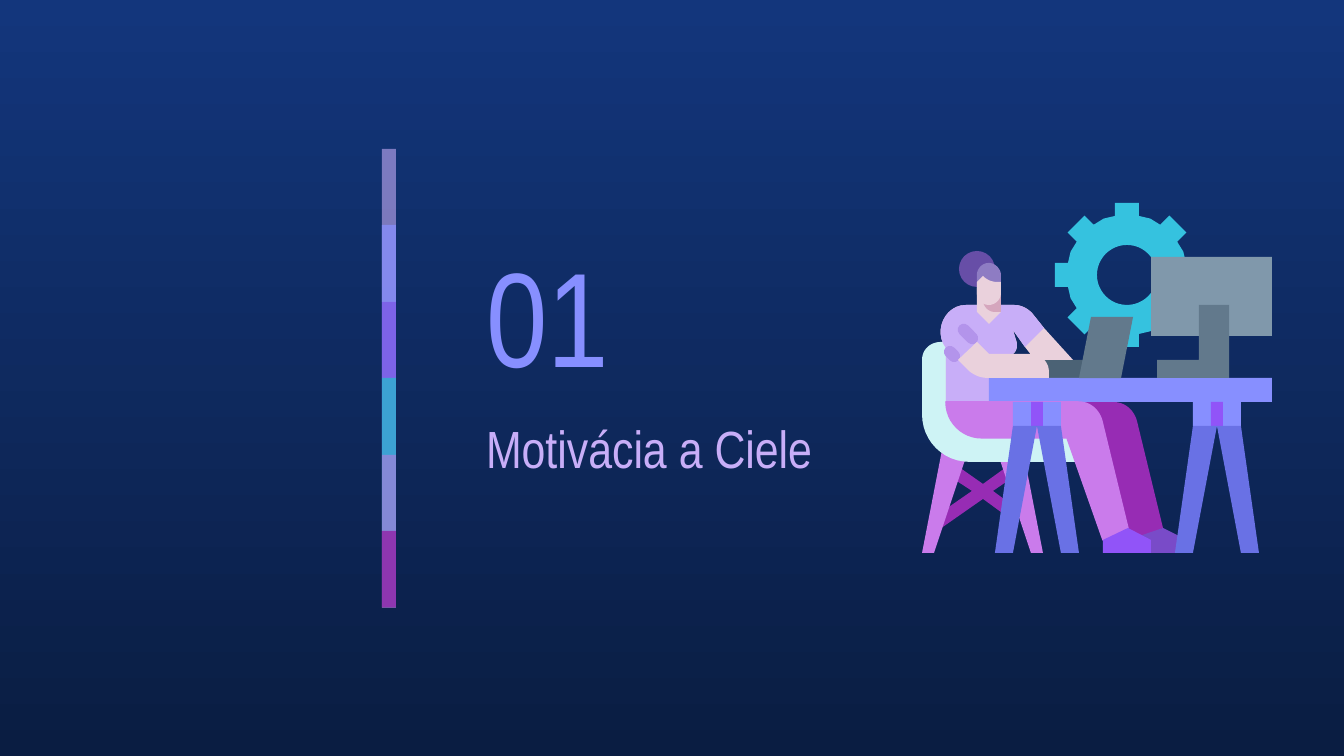
from math import cos, pi, sin

from lxml.etree import SubElement
from pptx import Presentation
from pptx.dml.color import RGBColor
from pptx.enum.shapes import MSO_SHAPE as Shape
from pptx.enum.text import MSO_ANCHOR as Anchor, MSO_AUTO_SIZE as AutoSize, PP_ALIGN as Align
from pptx.oxml.ns import qn
from pptx.util import Pt

PX = 9144000 / 1344

NIGHT_TOP = RGBColor(0x13, 0x36, 0x7C)
NIGHT_BOTTOM = RGBColor(0x0A, 0x1D, 0x42)
BLUE = RGBColor(0x87, 0x8F, 0xFF)
DEEP_BLUE = RGBColor(0x69, 0x71, 0xE5)
LILAC = RGBColor(0xC8, 0xAE, 0xF8)
DARK_LILAC = RGBColor(0xB3, 0x94, 0xEB)
VIOLET = RGBColor(0x91, 0x54, 0xF8)
DARK_VIOLET = RGBColor(0x79, 0x4B, 0xC8)
CYAN = RGBColor(0x35, 0xC2, 0xDF)
ICE = RGBColor(0xCE, 0xF3, 0xF5)
PINK = RGBColor(0xCA, 0x7B, 0xEB)
PURPLE = RGBColor(0x97, 0x2C, 0xB4)
SKIN = RGBColor(0xEA, 0xD1, 0xDC)
SKIN_SHADE = RGBColor(0xD5, 0xA6, 0xBD)
HAIR = RGBColor(0x67, 0x4E, 0xA7)
HAIR_LIGHT = RGBColor(0x8E, 0x7C, 0xC3)
SLATE = RGBColor(0x62, 0x79, 0x8C)
DARK_SLATE = RGBColor(0x4B, 0x62, 0x75)
LIGHT_SLATE = RGBColor(0x80, 0x98, 0xAB)


def emu(px):
    return round(px * PX)


def paint(shape, color):
    shape.shadow.inherit = False
    shape.fill.solid()
    shape.fill.fore_color.rgb = color
    shape.line.fill.background()
    return shape


def add_preset(group, kind, color, left, top, width, height):
    box = [emu(v) for v in (left, top, width, height)]
    return paint(group.shapes.add_shape(kind, *box), color)


def add_block(group, color, *box):
    return add_preset(group, Shape.RECTANGLE, color, *box)


def trace(steps):
    """Turn corners (x, y) and cubic curves (x1, y1, x2, y2, x, y) into points."""
    points = [steps[0]]
    for step in steps[1:]:
        if len(step) == 2:
            points.append(step)
            continue
        (x0, y0), (x1, y1, x2, y2, x3, y3) = points[-1], step
        for i in range(1, 13):
            t = i / 12
            weights = ((1 - t) ** 3, 3 * t * (1 - t) ** 2, 3 * t * t * (1 - t), t ** 3)
            points.append((sum(w * x for w, x in zip(weights, (x0, x1, x2, x3))),
                           sum(w * y for w, y in zip(weights, (y0, y1, y2, y3)))))
    return points


def add_outline(group, color, *contours):
    """Draw one filled outline; a second contour cuts a hole."""
    builder = None
    for steps in contours:
        start, *rest = [(emu(x), emu(y)) for x, y in trace(steps)]
        if builder is None:
            builder = group.shapes.build_freeform(*start, scale=1.0)
        else:
            builder.move_to(*start)
        builder.add_line_segments(rest, close=True)
    return paint(builder.convert_to_shape(), color)


def add_gear(group, cx, cy):
    rim = []
    for tooth in range(8):
        turn = tooth * pi / 4
        for x, y in ((-12, -59), (-12, -72), (12, -72), (12, -59)):
            rim.append((cx + x * cos(turn) - y * sin(turn), cy + x * sin(turn) + y * cos(turn)))
        middle = turn + pi / 8
        rim.append((cx + 61 * sin(middle), cy - 61 * cos(middle)))
    hole = [(cx + 30 * cos(i * pi / 24), cy + 30 * sin(i * pi / 24)) for i in range(48)]
    add_outline(group, CYAN, rim, hole)


def add_chair(group):
    add_outline(group, PURPLE, [
        (956, 465), (949, 476), (972, 491), (933, 518), (940, 529), (983, 499), (1005, 515),
        (1012, 505), (993, 491), (1015, 476), (1008, 466), (983, 484)])
    add_outline(group, PINK, [(995, 445), (1031, 553), (1043, 553), (1022, 445)])
    add_outline(group, PINK, [(943, 445), (922, 553), (934, 553), (970, 445)])
    add_outline(group, ICE, [
        (941, 342), (930, 342, 922, 350, 922, 360), (922, 414), (922, 441, 943, 462, 970, 462),
        (1085, 462), (1085, 433), (983, 433), (966, 433, 953, 419, 953, 402), (953, 342)])


def add_body(group):
    torso = [(966, 305), (945, 305, 933, 331, 946, 348), (946, 402), (1013, 402), (1013, 354),
             (1017, 351, 1018, 345, 1016, 340), (1013, 330), (1025, 347)]
    shoulder = [(1044, 328), (1032, 313), (1027, 308, 1021, 305, 1014, 305)]
    add_outline(group, SKIN, torso + [(1035, 360), (1073, 360)] + shoulder)
    add_outline(group, LILAC, torso + shoulder)


def add_near_arm(group):
    for left, top, length in ((943, 348, 18), (956, 328, 24)):
        cuff = add_preset(group, Shape.ROUNDED_RECTANGLE, DARK_LILAC, left, top, length, 12)
        cuff.adjustments[0] = 0.5
        cuff.rotation = 45
    add_outline(group, SKIN, [(977, 288), (977, 312), (989, 324), (1001, 312), (1001, 288)])
    add_outline(group, SKIN, [
        (977, 342), (958, 360), (969, 371), (974, 375, 980, 378, 987, 378), (1049, 378),
        (1049, 372), (1049, 362, 1041, 354, 1031, 354), (989, 354)])


def add_leg(group, color, hip, knee, ankle, toe, shin):
    return add_outline(group, color, [
        (hip, 402), (hip, 422, hip + 16, 438, hip + 36, 438), (knee, 438), (ankle, 540), *toe,
        (shin, 421), (shin - 3, 410, shin - 12, 402, shin - 24, 402)])


def add_shoe(group, color, left, peak, right):
    add_outline(group, color, [
        (peak, 528), (left, 540), (left, 553), (right, 553), (right, 540)])


def add_trestle(group, left):
    add_block(group, BLUE, left, 402, 48, 24)
    add_block(group, VIOLET, left + 18, 402, 12, 24)
    for legs in ((0, -18, 0, 24), (24, 48, 66, 48)):
        a, b, c, d = (left + x for x in legs)
        add_outline(group, DEEP_BLUE, [(a, 426), (b, 553), (c, 553), (d, 426)])


def add_head(group):
    add_outline(group, SKIN_SHADE, [
        (983, 288), (983, 300), (983, 306, 988, 312, 995, 312), (1001, 312), (1001, 288)])
    add_preset(group, Shape.OVAL, HAIR, 959, 251, 36, 36)
    add_outline(group, HAIR_LIGHT, [
        (989, 263), (982, 263, 977, 269, 977, 275), (977, 288), (1001, 288), (1001, 275),
        (1001, 269, 995, 263, 989, 263)])
    add_outline(group, SKIN, [
        (983, 276), (977, 282), (977, 293), (977, 300, 982, 305, 989, 305),
        (995, 305, 1001, 300, 1001, 293), (1001, 282), (997, 282), (992, 282, 987, 280, 983, 276)])


def add_worker_at_desk(slide):
    scene = slide.shapes.add_group_shape()
    add_gear(scene, 1127, 275)
    add_block(scene, DARK_SLATE, 1043, 360, 42, 18)
    add_chair(scene)
    add_leg(scene, PURPLE, 983, 1103, 1128, [(1139, 540), (1163, 528)], 1137)
    add_shoe(scene, DARK_VIOLET, 1128, 1163, 1187)
    add_body(scene)
    add_block(scene, BLUE, 989, 378, 283, 24)
    add_near_arm(scene)
    add_outline(scene, SLATE, [(1091, 317), (1079, 378), (1121, 378), (1133, 317)])
    near_leg = add_leg(scene, PINK, 946, 1067, 1103, [(1128, 528)], 1102)
    near_leg.line.color.rgb = PINK
    near_leg.line.width = Pt(0.75)
    add_shoe(scene, VIOLET, 1103, 1128, 1151)
    add_block(scene, LIGHT_SLATE, 1151, 257, 121, 79)
    add_outline(scene, SLATE, [
        (1199, 305), (1199, 360), (1157, 360), (1157, 378), (1229, 378), (1229, 305)])
    for left in (1193, 1013):
        add_trestle(scene, left)
    add_head(scene)


def add_color_bar(slide):
    """Stack translucent bands, each reaching under the next one."""
    bar = slide.shapes.add_group_shape()
    bands = ((LILAC, 59), (BLUE, 74), (VIOLET, 53), (CYAN, 76), (PINK, 56), (PURPLE, 74))
    for i, (color, opacity) in enumerate(bands):
        height = 76 if i == len(bands) - 1 else 153
        band = add_block(bar, color, 382, 149 + round(i * 76.4), 14, height)
        tint = band._element.spPr.find(".//" + qn("a:srgbClr"))
        SubElement(tint, qn("a:alpha")).set("val", str(opacity * 1000))


def fill_heading(placeholder, text, box, anchor, size, color):
    for side, value in zip(("left", "top", "width", "height"), box):
        setattr(placeholder, side, emu(value))
    frame = placeholder.text_frame
    frame.text = text
    margins = dict.fromkeys(
        ("margin_left", "margin_top", "margin_right", "margin_bottom"), emu(13))
    paragraph = frame.paragraphs[0]
    formats = (
        (frame, {**margins, "word_wrap": True, "auto_size": AutoSize.NONE,
                 "vertical_anchor": anchor}),
        (paragraph, {"alignment": Align.LEFT, "space_before": Pt(0), "line_spacing": 1.0}),
        (paragraph.runs[0].font, {"name": "Arial Narrow", "size": Pt(size), "bold": False}),
    )
    for target, values in formats:
        for key, value in values.items():
            setattr(target, key, value)
    paragraph.runs[0].font.color.rgb = color


def set_background(slide):
    fill = slide.background.fill
    fill.gradient()
    fill.gradient_angle = 270
    for stop, color in zip(fill.gradient_stops, (NIGHT_TOP, NIGHT_BOTTOM)):
        stop.color.rgb = color


def main():
    deck = Presentation()
    deck.slide_width, deck.slide_height = emu(1344), emu(756)
    slide = deck.slides.add_slide(deck.slide_layouts[0])
    set_background(slide)
    title, number = slide.placeholders
    fill_heading(number, "01", (473, 223, 235, 181), Anchor.MIDDLE, 72, BLUE)
    fill_heading(title, "Motivácia a Ciele", (473, 403, 386, 129), Anchor.TOP, 28, LILAC)
    add_worker_at_desk(slide)
    add_color_bar(slide)
    deck.save("out.pptx")


if __name__ == "__main__":
    main()
